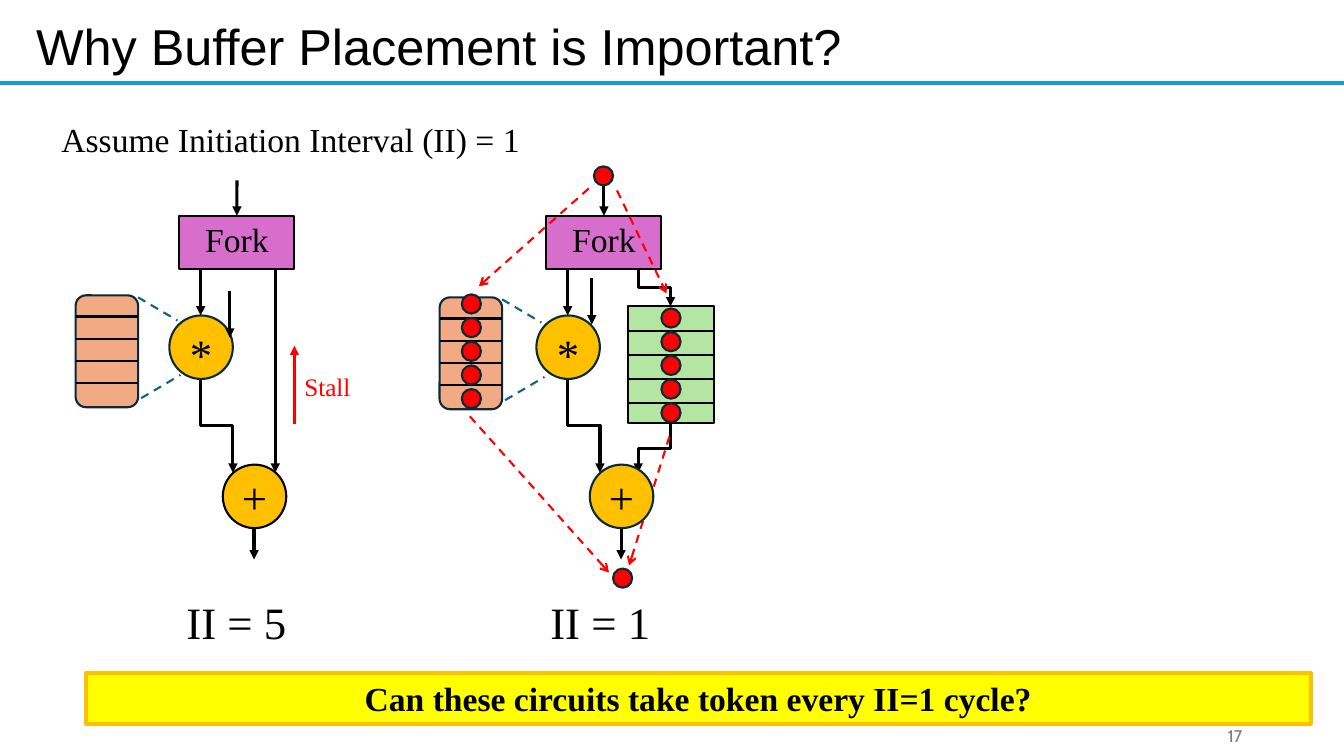
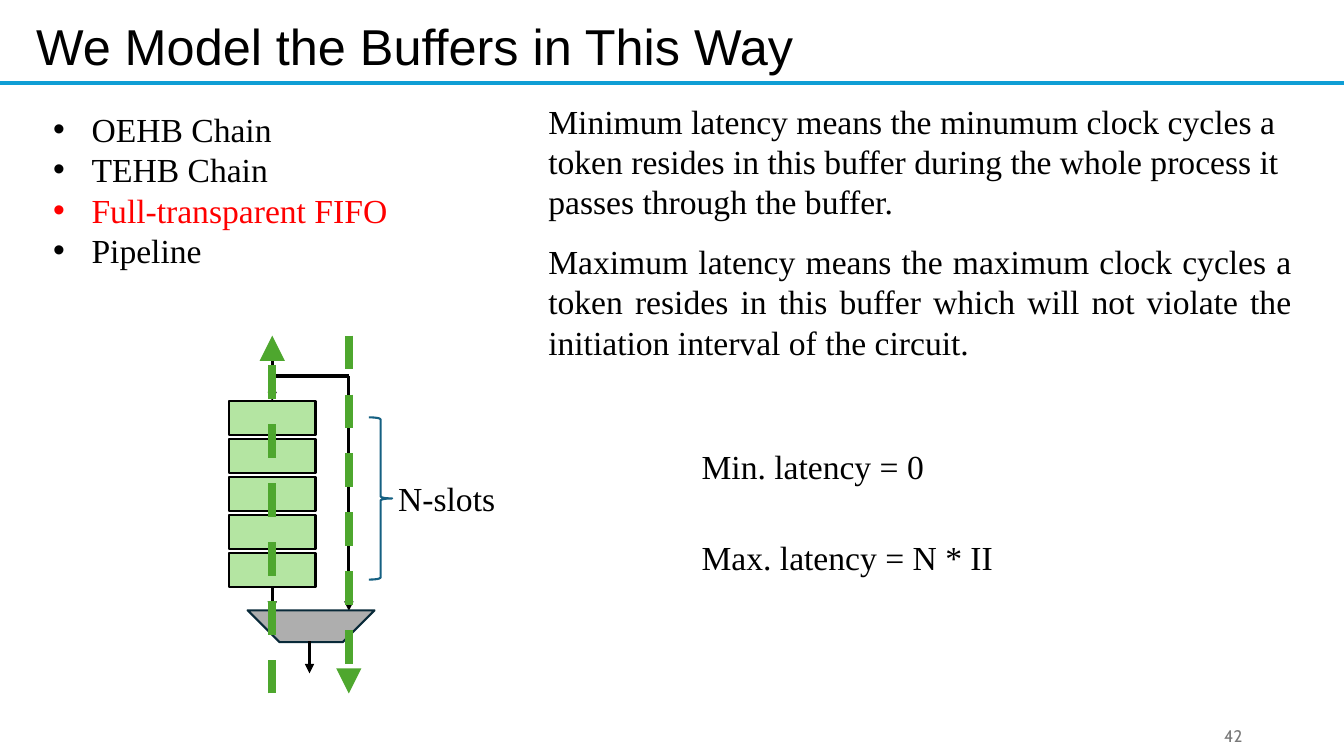
from pptx import Presentation
from pptx.dml.color import RGBColor
from pptx.enum.dml import MSO_LINE
from pptx.enum.shapes import MSO_CONNECTOR as LINK, MSO_SHAPE as SHAPE
from pptx.enum.text import MSO_ANCHOR, MSO_AUTO_SIZE as AUTO, PP_ALIGN as ALIGN
from pptx.oxml.ns import qn
from pptx.util import Inches, Pt
from lxml.etree import SubElement

# Shared style
SERIF = "Times New Roman"
BLACK, RED, NAVY, TEAL = "000000", "FF0000", "092A39", "156082"
GOLD, PEACH, MINT, PINK = "FFC000", "F2AA84", "B4E5A2", "D86ECC"
GRASS = "4EA72E"
rgb = RGBColor.from_string


def draw(slide, kind, box, text="", size=24, fill=None, edge=BLACK, thick=1.5,
         font=SERIF, color=BLACK, align=None, bold=None, wrap=False):
    """Add a preset shape, or a text box when kind is None."""
    place = [Inches(v) for v in box]
    if kind is None:
        shape = slide.shapes.add_textbox(*place)
        if not wrap:
            shape.text_frame.auto_size = AUTO.SHAPE_TO_FIT_TEXT
    else:
        shape = slide.shapes.add_shape(kind, *place)
        shape.shadow.inherit = False
        if fill:
            shape.fill.solid()
            shape.fill.fore_color.rgb = rgb(fill)
        else:
            shape.fill.background()
        shape.line.color.rgb = rgb(edge)
        shape.line.width = Pt(thick)
    if text:
        frame = shape.text_frame
        frame.word_wrap = wrap
        frame.text = text
        for para in frame.paragraphs:
            para.alignment = align
            para.font.name = font
            para.font.size = Pt(size)
            para.font.bold = bold
            para.font.color.rgb = rgb(color)
    return shape


def link(slide, x1, y1, x2, y2, color=BLACK, thick=2.25, head="triangle",
         dash=False, bent=False):
    """Add a line; a bent one leaves and arrives vertically."""
    kind, turn = LINK.STRAIGHT, 0
    if bent:
        kind, turn = LINK.ELBOW, 270 if x2 > x1 else 90
        midx, midy = (x1 + x2) / 2, (y1 + y2) / 2
        long, high = (y2 - y1) / 2, abs(x2 - x1) / 2
        if turn == 270:
            long = -long
        x1, x2, y1, y2 = midx - long, midx + long, midy - high, midy + high
    line = slide.shapes.add_connector(kind, *[Inches(v) for v in (x1, y1, x2, y2)])
    line.line.color.rgb = rgb(color)
    line.line.width = Pt(thick)
    if dash:
        line.line.dash_style = MSO_LINE.DASH
    props = line._element.spPr
    if turn:
        props.find(qn("a:xfrm")).set("rot", str(turn * 60000))
    if head:
        SubElement(props.find(qn("a:ln")), qn("a:tailEnd")).set("type", head)
    SubElement(props, qn("a:effectLst"))
    return line


deck = Presentation()
deck.slide_width, deck.slide_height = Inches(13.33), Inches(7.5)

# Title, rule and page number of each slide
for title, page in (("Why Buffer Placement is Important?", "17"),
                    ("We Model the Buffers in This Way", "42")):
    slide = deck.slides.add_slide(deck.slide_layouts[6])
    link(slide, 0, 0.82, 13.33, 0.82, "0F9ED5", 3, None)
    draw(slide, None, (0.26, 0.1, 11.59, 0.71), title, 36, font="Arial", wrap=True)
    foot = draw(slide, None, (9.42, 7.1, 3, 0.4), page, 12, font="Cabin",
                color="797979", align=ALIGN.RIGHT, wrap=True)
    foot.text_frame.vertical_anchor = MSO_ANCHOR.MIDDLE
first, second = deck.slides

# Slide 1: the two circuits
draw(first, None, (0.51, 1.13, 4.79, 0.5), "Assume Initiation Interval (II) = 1")
for dx, left, top, feed, label in ((0, 0.75, 2.93, (2.28, 2.89), "II = 5"),
                                   (3.64, 4.36, 2.95, (5.87, 2.76), "II = 1")):
    fork = draw(first, SHAPE.RECTANGLE, (1.78 + dx, 2.14, 1.14, 0.53), "Fork",
                fill=PINK, align=ALIGN.CENTER)
    fork.text_frame.margin_bottom = Inches(0.12)
    link(first, 2.35 + dx, 1.79, 2.35 + dx, 2.14).end_connect(fork, 0)
    link(first, 1.99 + dx, 2.68, 1.99 + dx, 3.13)
    link(first, 1.99 + dx, 3.75, 2.31 + dx, 4.69, bent=True)
    link(first, 2.52 + dx, 5.23, 2.52 + dx, 5.55)
    star = draw(first, SHAPE.OVAL, (1.68 + dx, 3.13, 0.63, 0.63), "*", 32,
                fill=GOLD, edge=NAVY, align=ALIGN.CENTER)
    star.text_frame.margin_top, star.text_frame.margin_bottom = Inches(0.13), 0
    x, y = feed
    link(first, x, y, x, y + 0.46)

    # Pipeline stages inside the multiplier
    draw(first, SHAPE.ROUNDED_RECTANGLE, (left, top, 0.62, 1.11), fill=PEACH, edge=NAVY)
    for i in range(4):
        y = top + 0.21 + 0.22 * i
        link(first, left, y, left + 0.62, y, thick=1.5, head=None)
    for x, y, drop in ((0.62, 0.02, 0.23), (0.65, 1.02, -0.23)):
        link(first, left + x, top + y, left + x + 0.39, top + y + drop,
             TEAL, 1.5, None, dash=True)
    draw(first, None, (left + 1, 5.85, 1.2, 0.64), label, 32)

# Stalled branch on the left
link(first, 2.73, 2.68, 2.73, 4.69)
link(first, 2.92, 4.21, 2.92, 3.43, RED)
draw(first, None, (2.92, 3.63, 0.66, 0.4), "Stall", 18, color=RED)

# Buffered branch on the right
draw(first, SHAPE.RECTANGLE, (6.23, 3.04, 0.85, 1.16), fill=MINT)
for i in range(4):
    y = 3.28 + 0.24 * i
    link(first, 6.23, y, 7.08, y, thick=1.5, head=None)
link(first, 6.33, 2.66, 6.65, 3.04, bent=True)
link(first, 6.65, 4.21, 6.33, 4.69, bent=True)

# Token flow
for ends in ((5.84, 1.87, 4.75, 2.84), (6.12, 1.89, 6.61, 2.91),
             (4.66, 4.13, 6.04, 5.68), (6.64, 4.33, 6.24, 5.61)):
    link(first, *ends, RED, 1.5, "arrow", dash=True)
spots = [(5.89, 1.65), (6.08, 5.64)]
for x, y in ((4.58, 2.92), (6.56, 3.06)):
    spots += [(x, y + 0.235 * i) for i in range(5)]
for x, y in spots:
    draw(first, SHAPE.OVAL, (x, y, 0.19, 0.19), fill=RED, edge=NAVY)

# Adders, above the token flow
for x, edge in ((2.21, BLACK), (5.85, NAVY)):
    plus = draw(first, SHAPE.OVAL, (x, 4.61, 0.63, 0.63), "+", 32,
                fill=GOLD, edge=edge, align=ALIGN.CENTER)
    plus.text_frame.margin_top = plus.text_frame.margin_bottom = 0

# Question banner
draw(first, SHAPE.RECTANGLE, (0.85, 6.68, 12.15, 0.5),
     "Can these circuits take token every II=1 cycle?", fill="FFFF00", edge=GOLD,
     thick=3, align=ALIGN.CENTER, bold=True, wrap=True)

# Slide 2: buffer kinds
kinds = draw(second, None, (0.43, 1.03, 3.54, 1.72),
             "OEHB Chain\nTEHB Chain\nFull-transparent FIFO\nPipeline", wrap=True)
for para in kinds.text_frame.paragraphs:
    props = para._p.get_or_add_pPr()
    props.set("marL", str(Inches(0.38)))
    props.set("indent", str(Inches(-0.38)))
    for tag, key, value in (("a:buFont", "typeface", "Arial"), ("a:buChar", "char", "•")):
        bullet = props.makeelement(qn(tag), {key: value})
        spot = props.find(qn("a:defRPr"))
        if spot is None:
            props.append(bullet)
        else:
            spot.addprevious(bullet)
kinds.text_frame.paragraphs[2].runs[0].font.color.rgb = rgb(RED)

# Slots of the buffer
slots = [draw(second, SHAPE.RECTANGLE, (2.27, 3.98 + 0.376 * i, 0.86, 0.34), fill=MINT)
         for i in range(5)]
link(second, 2.7, 3.53, 2.7, 3.98).end_connect(slots[0], 0)
link(second, 2.7, 5.83, 2.7, 6.06).begin_connect(slots[-1], 2)
link(second, 3.46, 3.73, 3.46, 6.06)
link(second, 2.7, 3.73, 3.46, 3.73, head=None)
draw(second, SHAPE.RIGHT_BRACE, (3.66, 4.14, 0.23, 1.61), edge=TEAL)
draw(second, None, (3.85, 4.69, 1.17, 0.5), "N-slots")

# Multiplexer and the two paths
mux = draw(second, SHAPE.DIAGONAL_STRIPE, (2.64, 5.61, 0.89, 0.89), fill="AEAEAE", edge=NAVY)
mux.rotation = 225
link(second, 3.07, 6.36, 3.07, 6.68)
link(second, 3.46, 3.33, 3.46, 6.88, GRASS, 6, dash=True)
link(second, 2.7, 6.88, 2.7, 3.33, GRASS, 6, dash=True)

# Latency notes
draw(second, None, (5.34, 0.95, 7.8, 1.31),
     "Minimum latency means the minumum clock cycles a token resides in this buffer "
     "during the whole process it passes through the buffer.", wrap=True)
draw(second, None, (5.34, 2.34, 7.57, 1.31),
     "Maximum latency means the maximum clock cycles a token resides in this buffer "
     "which will not violate the initiation interval of the circuit.",
     align=ALIGN.JUSTIFY, wrap=True)
draw(second, None, (6.86, 4.37, 2.51, 0.5), "Min. latency = 0")
draw(second, None, (6.86, 5.28, 3.12, 0.5), "Max. latency = N * II")

deck.save("out.pptx")
